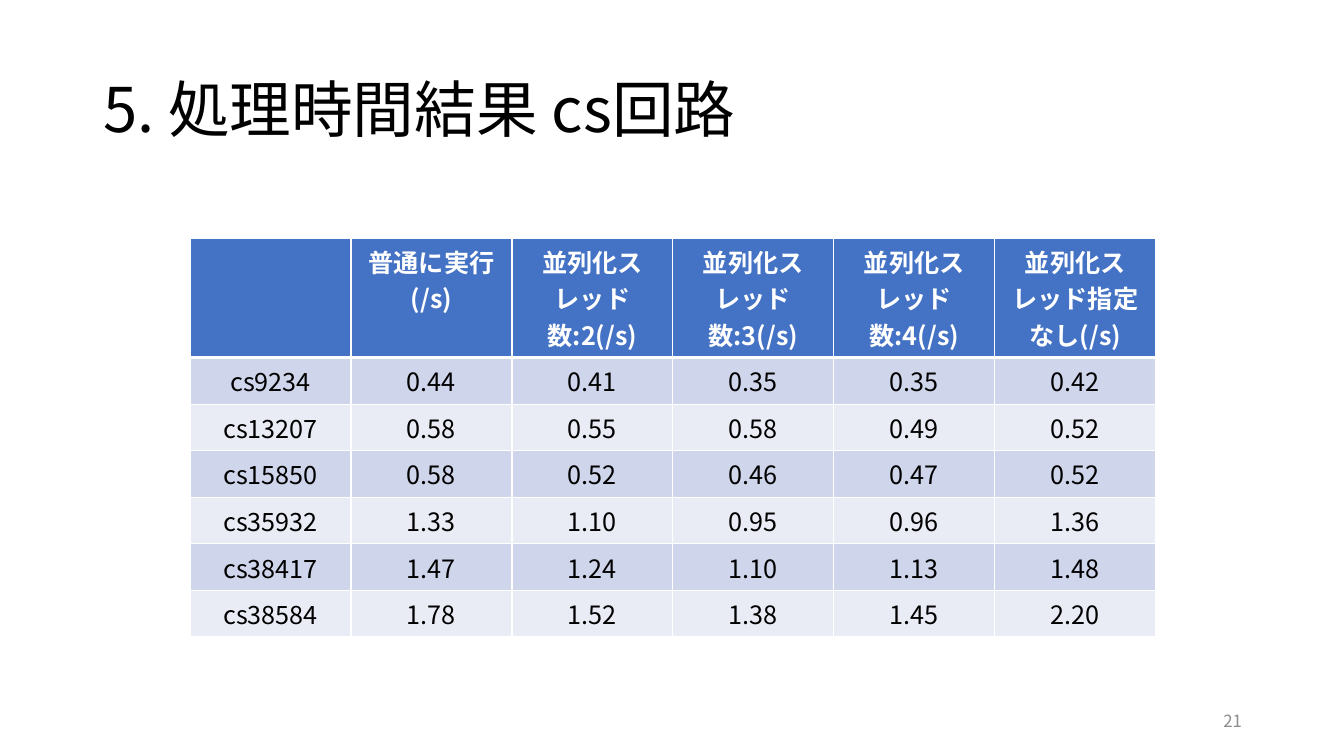
"""Build the slide that tabulates processing times of the cs circuits."""
from dataclasses import dataclass

from lxml.etree import SubElement
from pptx import Presentation
from pptx.dml.color import RGBColor
from pptx.enum.lang import MSO_LANGUAGE_ID as Language
from pptx.enum.text import MSO_ANCHOR as Anchor, MSO_AUTO_SIZE as AutoSize, PP_ALIGN as Align
from pptx.oxml.ns import qn
from pptx.util import Emu, Pt

TITLE = "5. 処理時間結果 cs回路"
PAGE_NUMBER = "21"
HEADERS = ["", "普通に実行(/s)", "並列化スレッド数:2(/s)", "並列化スレッド数:3(/s)",
           "並列化スレッド数:4(/s)", "並列化スレッド指定なし(/s)"]
TIMES = [
    ("cs9234", "0.44", "0.41", "0.35", "0.35", "0.42"),
    ("cs13207", "0.58", "0.55", "0.58", "0.49", "0.52"),
    ("cs15850", "0.58", "0.52", "0.46", "0.47", "0.52"),
    ("cs35932", "1.33", "1.10", "0.95", "0.96", "1.36"),
    ("cs38417", "1.47", "1.24", "1.10", "1.13", "1.48"),
    ("cs38584", "1.78", "1.52", "1.38", "1.45", "2.20"),
]

SLIDE_SIZE = (1344, 756)
TITLE_BOX = (93, 40, 1159, 146)
NUMBER_BOX = (950, 701, 302, 40)
TABLE_LEFT, TABLE_TOP = 190, 238
COLUMN_WIDTH, HEADER_HEIGHT, ROW_HEIGHT = 161, 118, 46


@dataclass(frozen=True)
class Theme:
    font: str = "Noto Sans CJK JP"
    ink: str = "000000"
    white: str = "FFFFFF"
    muted: str = "8C8C8C"
    header: str = "4472C4"
    bands: tuple = ("CFD5EA", "E9EBF5")
    title_size: int = 44
    table_size: int = 18
    number_size: int = 12
    thin: int = 1
    thick: int = 3


THEME = Theme()


def px(pixels):
    return Emu(round(pixels * 914400 / 100.8))


def place(shape, box):
    shape.left, shape.top, shape.width, shape.height = map(px, box)


def write(frame, text, *, size, color=THEME.ink, bold=False, align=Align.LEFT,
          anchor=Anchor.MIDDLE, spacing=None):
    frame.word_wrap = True
    frame.vertical_anchor = anchor
    paragraph = frame.paragraphs[0]
    paragraph.alignment = align
    paragraph.line_spacing = spacing
    run = paragraph.add_run()
    run.text = text
    font = run.font
    font.size, font.bold, font.name = Pt(size), bold, THEME.font
    font.color.rgb = RGBColor.from_string(color)
    font.language_id = Language.JAPANESE
    SubElement(run._r.get_or_add_rPr(), qn("a:ea"), typeface=THEME.font)


def paint(cell, color, **borders):
    properties = cell._tc.get_or_add_tcPr()
    for side in "LRTB":
        width = borders.get(side, THEME.thin)
        line = SubElement(properties, qn(f"a:ln{side}"), w=str(Pt(width)))
        fill = SubElement(line, qn("a:solidFill"))
        SubElement(fill, qn("a:srgbClr"), val=THEME.white)
    cell.fill.solid()
    cell.fill.fore_color.rgb = RGBColor.from_string(color)


def add_times_table(slide):
    rows = [HEADERS, *TIMES]
    heights = [HEADER_HEIGHT] + [ROW_HEIGHT] * len(TIMES)
    box = (TABLE_LEFT, TABLE_TOP, COLUMN_WIDTH * len(HEADERS), sum(heights))
    table = slide.shapes.add_table(len(rows), len(HEADERS), *map(px, box)).table
    for column in table.columns:
        column.width = px(COLUMN_WIDTH)
    for index, (texts, height) in enumerate(zip(rows, heights)):
        table.rows[index].height = px(height)
        is_header = index == 0
        fill = THEME.header if is_header else THEME.bands[(index - 1) % 2]
        borders = {0: {"B": THEME.thick}, 1: {"T": THEME.thick}}.get(index, {})
        for cell, text in zip(table.rows[index].cells, texts):
            paint(cell, fill, **borders)
            if text:
                write(cell.text_frame, text, size=THEME.table_size, bold=is_header,
                      color=THEME.white if is_header else THEME.ink,
                      align=Align.CENTER, anchor=Anchor.TOP)


presentation = Presentation()
presentation.slide_width, presentation.slide_height = map(px, SLIDE_SIZE)
slide = presentation.slides.add_slide(presentation.slide_layouts[5])

title = slide.shapes.title
place(title, TITLE_BOX)
title.text_frame.auto_size = AutoSize.NONE
write(title.text_frame, TITLE, size=THEME.title_size, spacing=0.9)

add_times_table(slide)

number = slide.shapes.add_textbox(*map(px, NUMBER_BOX))
write(number.text_frame, PAGE_NUMBER, size=THEME.number_size, color=THEME.muted,
      align=Align.RIGHT)

presentation.save("out.pptx")
